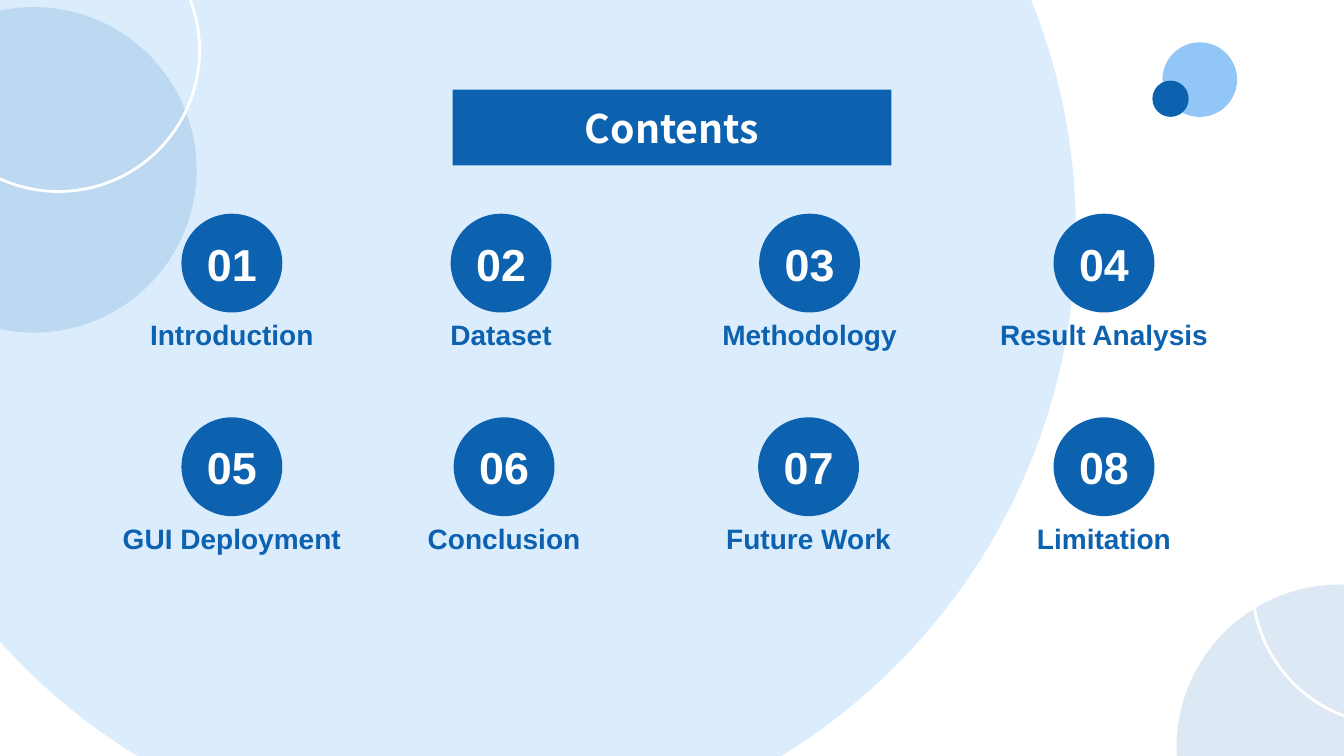
from lxml import etree
from pptx import Presentation
from pptx.dml.color import RGBColor
from pptx.enum.shapes import MSO_SHAPE
from pptx.enum.text import MSO_ANCHOR, MSO_AUTO_SIZE, PP_ALIGN
from pptx.oxml.ns import qn
from pptx.util import Emu, Pt

OVAL = MSO_SHAPE.OVAL
MIDDLE = MSO_ANCHOR.MIDDLE
CENTER = PP_ALIGN.CENTER
FIXED = MSO_AUTO_SIZE.NONE
TITLE_ONLY = 5
SCALE = 9144
COLORS = {"navy": "0D62B0", "sky": "91C6F7", "white": "FFFFFF"}
DISC_W, DISC_H = 100, 98
LABEL_W, LABEL_H = 240, 44
ROWS = [
    (212, [(180, "Introduction"), (447, "Dataset"),
           (753, "Methodology"), (1045, "Result Analysis")]),
    (414, [(180, "GUI Deployment"), (450, "Conclusion"),
           (752, "Future Work"), (1045, "Limitation")]),
]


def px(count):
    return Emu(count * SCALE)


def color(name):
    return RGBColor.from_string(COLORS[name])


def paint(shape, name, alpha=100):
    shape.fill.solid()
    shape.fill.fore_color.rgb = color(name)
    if alpha < 100:
        tone = shape.fill._xPr.find(".//" + qn("a:srgbClr"))
        etree.SubElement(tone, qn("a:alpha"), val=str(alpha * 1000))


def write(shape, text, size, tint, font="Arial", wrap=True):
    frame = shape.text_frame
    frame.auto_size = FIXED
    frame.word_wrap = wrap
    frame.vertical_anchor = MIDDLE
    frame.margin_left = frame.margin_right = 0
    frame.margin_top = frame.margin_bottom = 0
    line = frame.paragraphs[0]
    line.alignment = CENTER
    run = line.add_run()
    run.text = text
    run.font.name = font
    run.font.size = Pt(size)
    run.font.bold = True
    run.font.color.rgb = color(tint)


def disc(slide, left, top, width, height, tint, alpha=100):
    shape = slide.shapes.add_shape(OVAL, px(left), px(top), px(width), px(height))
    shape.shadow.inherit = False
    shape.line.fill.background()
    paint(shape, tint, alpha)
    return shape


def ring(slide, left, top, size):
    shape = slide.shapes.add_shape(OVAL, px(left), px(top), px(size), px(size))
    shape.shadow.inherit = False
    shape.fill.background()
    shape.line.color.rgb = color("white")
    shape.line.width = Pt(2)


def banner(slide, text):
    title = slide.shapes.title
    title.left, title.top = px(449), px(89)
    title.width, title.height = px(435), px(75)
    paint(title, "navy")
    write(title, text, 28, "white", font="Noto Sans CJK SC")
    slide.shapes._spTree.append(title._element)


def topic(slide, left, top, number, name):
    badge = disc(slide, left, top, DISC_W, DISC_H, "navy")
    write(badge, f"{number:02}", 32, "white", wrap=False)
    start = left + (DISC_W - LABEL_W) // 2
    label = slide.shapes.add_textbox(
        px(start), px(top + DISC_H), px(LABEL_W), px(LABEL_H))
    write(label, name, 20, "navy")


def main():
    deck = Presentation()
    deck.slide_width, deck.slide_height = px(1333), px(750)
    slide = deck.slides.add_slide(deck.slide_layouts[TITLE_ONLY])
    disc(slide, -156, -383, 1223, 1223, "sky", 32)
    for left, top, hoop_x, hoop_y in [(-128, 7, -82, -90), (1167, 580, 1242, 439)]:
        disc(slide, left, top, 323, 323, "navy", 14)
        ring(slide, hoop_x, hoop_y, 280)
    disc(slide, 1153, 42, 74, 74, "sky")
    disc(slide, 1143, 80, 36, 36, "navy")
    banner(slide, "Contents")
    number = 1
    for top, topics in ROWS:
        for left, name in topics:
            topic(slide, left, top, number, name)
            number += 1
    deck.save("out.pptx")


if __name__ == "__main__":
    main()
